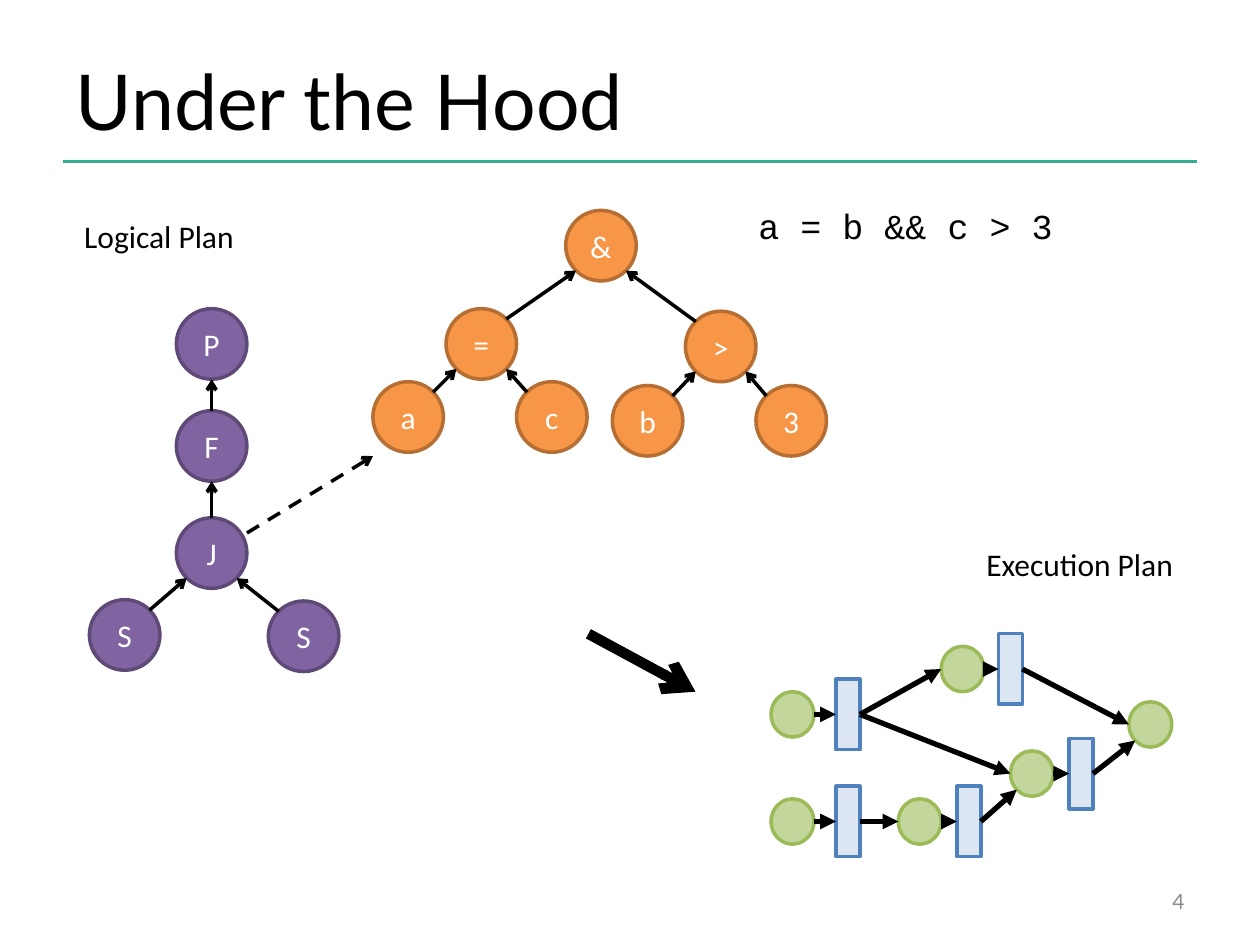
from dataclasses import dataclass
from math import sqrt

from lxml import etree
from pptx import Presentation
from pptx.dml.color import RGBColor
from pptx.enum.dml import MSO_LINE
from pptx.enum.shapes import MSO_CONNECTOR, MSO_SHAPE
from pptx.enum.text import MSO_ANCHOR, MSO_AUTO_SIZE, PP_ALIGN
from pptx.oxml.ns import qn
from pptx.slide import Slide
from pptx.util import Inches, Pt

STRAIGHT = MSO_CONNECTOR.STRAIGHT
ELLIPSE, RECTANGLE = MSO_SHAPE.OVAL, MSO_SHAPE.RECTANGLE
LEFT, CENTER, RIGHT = PP_ALIGN.LEFT, PP_ALIGN.CENTER, PP_ALIGN.RIGHT
TOP, MIDDLE = MSO_ANCHOR.TOP, MSO_ANCHOR.MIDDLE
FIT_NONE = MSO_AUTO_SIZE.NONE
DASH = MSO_LINE.DASH
TITLE_ONLY = 5

Point = tuple[float, float]


@dataclass(frozen=True)
class Theme:
    ink: str = "000000"
    paper: str = "FFFFFF"
    muted: str = "8B8B8B"
    accent: str = "34AD91"
    heading_font: str = "Lato"
    body_font: str = "Calibri"
    code_font: str = "Courier New"
    title_size: float = 44
    code_size: float = 20
    body_size: float = 18
    number_size: float = 12
    thin: float = 2
    medium: float = 3
    heavy: float = 6


THEME = Theme()


@dataclass(frozen=True)
class NodeStyle:
    fill: str
    border: str
    width: float
    height: float
    preset: MSO_SHAPE = ELLIPSE
    rotation: int = 0


OPERATOR = NodeStyle("8064A2", "5E4977", 0.56, 0.56)
EXPRESSION = NodeStyle("F79646", "B66E33", 0.56, 0.56)
VERTEX = NodeStyle("C3D69B", "9BBB59", 0.34, 0.36)
CHANNEL = NodeStyle("DCE6F2", "4F81BD", 0.56, 0.19, RECTANGLE, 90)


@dataclass(frozen=True)
class Node:
    style: NodeStyle
    x: float
    y: float
    label: str = ""

    def site(self, compass: str) -> Point:
        across = ("E" in compass) - ("W" in compass)
        down = ("S" in compass) - ("N" in compass)
        reach = 1 / sqrt(len(compass))
        width, height = self.style.width, self.style.height
        if self.style.rotation:
            width, height = height, width
        return (self.x + across * reach * width / 2,
                self.y + down * reach * height / 2)


@dataclass(frozen=True)
class Edge:
    source: str
    leave: str
    target: str
    enter: str


PLAN_NODES = {
    "project": Node(OPERATOR, 1.68, 2.73, "P"),
    "filter": Node(OPERATOR, 1.68, 3.54, "F"),
    "join": Node(OPERATOR, 1.68, 4.39, "J"),
    "left scan": Node(OPERATOR, 0.99, 5.04, "S"),
    "right scan": Node(OPERATOR, 2.41, 5.05, "S"),
    "and": Node(EXPRESSION, 4.77, 1.95, "&"),
    "equals": Node(EXPRESSION, 3.82, 2.73, "="),
    "greater": Node(EXPRESSION, 5.72, 2.75, ">"),
    "a": Node(EXPRESSION, 3.24, 3.31, "a"),
    "c": Node(EXPRESSION, 4.38, 3.31, "c"),
    "b": Node(EXPRESSION, 5.14, 3.34, "b"),
    "3": Node(EXPRESSION, 6.28, 3.34, "3"),
}
PLAN_EDGES = [
    Edge("left scan", "NE", "join", "SW"),
    Edge("right scan", "NW", "join", "SE"),
    Edge("join", "N", "filter", "S"),
    Edge("filter", "N", "project", "S"),
    Edge("a", "NE", "equals", "SW"),
    Edge("c", "NW", "equals", "SE"),
    Edge("b", "NE", "greater", "SW"),
    Edge("3", "NW", "greater", "SE"),
    Edge("equals", "NE", "and", "SW"),
    Edge("greater", "NW", "and", "SE"),
]
EXECUTION_NODES = {
    "upper input": Node(VERTEX, 6.29, 5.67),
    "lower input": Node(VERTEX, 6.29, 6.52),
    "lower step": Node(VERTEX, 7.3, 6.52),
    "merge": Node(VERTEX, 8.19, 6.14),
    "upper step": Node(VERTEX, 7.64, 5.31),
    "output": Node(VERTEX, 9.13, 5.75),
    "upper input channel": Node(CHANNEL, 6.73, 5.67),
    "lower input channel": Node(CHANNEL, 6.73, 6.52),
    "lower step channel": Node(CHANNEL, 7.69, 6.52),
    "merge channel": Node(CHANNEL, 8.58, 6.14),
    "upper step channel": Node(CHANNEL, 8.02, 5.31),
}
EXECUTION_EDGES = [
    Edge("upper input", "E", "upper input channel", "W"),
    Edge("lower input", "E", "lower input channel", "W"),
    Edge("lower step", "E", "lower step channel", "W"),
    Edge("merge", "E", "merge channel", "W"),
    Edge("upper step", "E", "upper step channel", "W"),
    Edge("upper input channel", "E", "upper step", "W"),
    Edge("upper input channel", "E", "merge", "W"),
    Edge("lower input channel", "E", "lower step", "W"),
    Edge("lower step channel", "E", "merge", "SW"),
    Edge("upper step channel", "E", "output", "W"),
    Edge("merge channel", "E", "output", "SW"),
]


def write(shape, text: str, size: float, font: str, color: str = THEME.ink,
          align: PP_ALIGN = LEFT, anchor: MSO_ANCHOR = TOP, wrap: bool = True) -> None:
    frame = shape.text_frame
    frame.text = text
    frame.auto_size = FIT_NONE
    frame.word_wrap = wrap
    frame.vertical_anchor = anchor
    paragraph = frame.paragraphs[0]
    paragraph.alignment = align
    paragraph.font.size = Pt(size)
    paragraph.font.name = font
    paragraph.font.color.rgb = RGBColor.from_string(color)


def add_line(slide: Slide, start: Point, end: Point, weight: float,
             color: str = THEME.ink, head: str = "", dashed: bool = False) -> None:
    line = slide.shapes.add_connector(STRAIGHT, *map(Inches, start + end))
    line.line.color.rgb = RGBColor.from_string(color)
    line.line.width = Pt(weight)
    if dashed:
        line.line.dash_style = DASH
    properties = line._element.spPr
    if head:
        etree.SubElement(properties.find(qn("a:ln")), qn("a:tailEnd"), type=head)
    etree.SubElement(properties, qn("a:effectLst"))


def add_node(slide: Slide, node: Node) -> None:
    style = node.style
    shape = slide.shapes.add_shape(
        style.preset, Inches(node.x - style.width / 2), Inches(node.y - style.height / 2),
        Inches(style.width), Inches(style.height))
    shape.rotation = style.rotation
    shape.shadow.inherit = False
    shape.fill.solid()
    shape.fill.fore_color.rgb = RGBColor.from_string(style.fill)
    shape.line.color.rgb = RGBColor.from_string(style.border)
    shape.line.width = Pt(THEME.thin)
    if node.label:
        write(shape, node.label, THEME.body_size, THEME.body_font, THEME.paper, CENTER, MIDDLE)


def add_graph(slide: Slide, nodes: dict[str, Node], edges: list[Edge],
              weight: float, head: str) -> None:
    for node in nodes.values():
        add_node(slide, node)
    for edge in edges:
        add_line(slide, nodes[edge.source].site(edge.leave),
                 nodes[edge.target].site(edge.enter), weight, head=head)


def add_text(slide: Slide, box: tuple[float, float, float, float], *args, **style) -> None:
    write(slide.shapes.add_textbox(*map(Inches, box)), *args, **style)


def main() -> None:
    deck = Presentation()
    deck.slide_width, deck.slide_height = Inches(10), Inches(7.5)
    slide = deck.slides.add_slide(deck.slide_layouts[TITLE_ONLY])
    title = slide.shapes.title
    title.left, title.top, title.width, title.height = map(Inches, (0.5, 0.3, 8.17, 0.98))
    write(title, "Under the Hood", THEME.title_size, THEME.heading_font, anchor=MIDDLE)
    add_line(slide, (0.5, 1.28), (9.5, 1.28), THEME.thin, THEME.accent)
    add_graph(slide, PLAN_NODES, PLAN_EDGES, THEME.thin, "arrow")
    add_line(slide, (1.96, 4.23), (2.96, 3.62), THEME.thin, head="arrow", dashed=True)
    add_graph(slide, EXECUTION_NODES, EXECUTION_EDGES, THEME.medium, "triangle")
    add_line(slide, (4.67, 5.03), (5.52, 5.49), THEME.heavy, head="arrow")
    add_text(slide, (0.57, 1.67, 1.68, 0.4), "Logical Plan",
             THEME.body_size, THEME.body_font, wrap=False)
    add_text(slide, (7.73, 4.28, 2.03, 0.4), "Execution Plan",
             THEME.body_size, THEME.body_font, wrap=False)
    add_text(slide, (5.92, 1.57, 3.38, 0.77), "a = b && c > 3", THEME.code_size, THEME.code_font)
    add_text(slide, (7.17, 6.95, 2.33, 0.4), "4", THEME.number_size, THEME.heading_font,
             THEME.muted, RIGHT, MIDDLE)
    deck.save("out.pptx")


if __name__ == "__main__":
    main()
